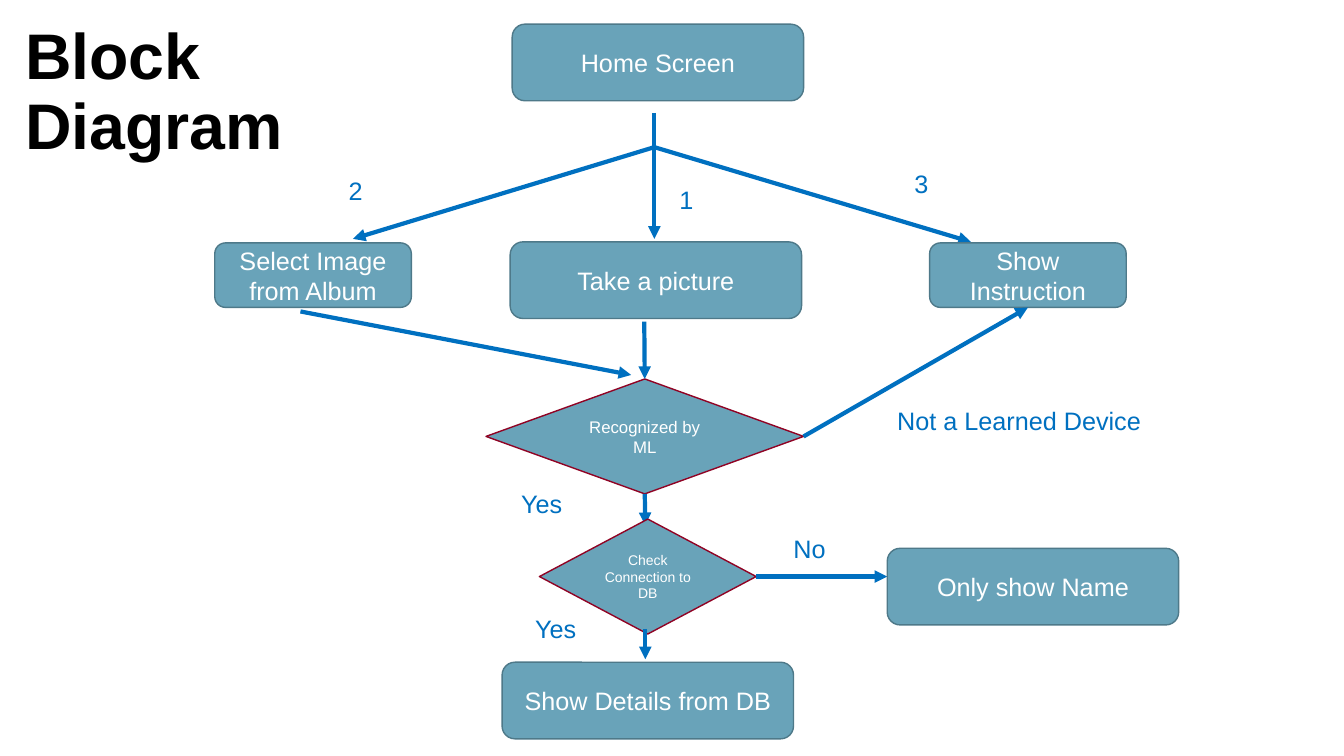
"""Build the block diagram slide of an image recognition app."""
from lxml import etree
from pptx import Presentation
from pptx.dml.color import RGBColor
from pptx.enum.shapes import MSO_CONNECTOR, MSO_SHAPE
from pptx.enum.text import MSO_ANCHOR, MSO_AUTO_SIZE, PP_ALIGN
from pptx.oxml.ns import qn
from pptx.util import Inches, Pt

ROUND, DIAMOND = MSO_SHAPE.ROUNDED_RECTANGLE, MSO_SHAPE.DIAMOND
STRAIGHT = MSO_CONNECTOR.STRAIGHT
TOP, MIDDLE, BOTTOM = MSO_ANCHOR.TOP, MSO_ANCHOR.MIDDLE, MSO_ANCHOR.BOTTOM
LEFT, CENTER = PP_ALIGN.LEFT, PP_ALIGN.CENTER
FIT = MSO_AUTO_SIZE.SHAPE_TO_FIT_TEXT

COLORS = {"fill": "69A3B9", "edge": "4E7989", "test": "900324",
          "flow": "0070C0", "title": "000000", "white": "FFFFFF"}
BIG = (2.89, 0.76)
SMALL = (1.95, 0.64)


def color(name):
    return RGBColor.from_string(COLORS[name])


def write(frame, text, size=18, tint="flow", bold=False, align=LEFT,
          anchor=TOP, wrap=True, lead=None, after=None):
    frame.word_wrap = wrap
    frame.vertical_anchor = anchor
    para = frame.paragraphs[0]
    para.alignment = align
    if lead:
        para.line_spacing = lead
    if after:
        para.space_after = Pt(after)
    run = para.add_run()
    run.text = text
    run.font.name = "Arial"
    run.font.size = Pt(size)
    run.font.bold = bold
    run.font.color.rgb = color(tint)


class Chart:
    def __init__(self, slide):
        self.shapes = slide.shapes

    def title(self, text, left, top, width, height):
        box = self.shapes.add_textbox(*map(Inches, (left, top, width, height)))
        write(box.text_frame, text, size=46, tint="title", bold=True,
              anchor=BOTTOM, lead=0.9, after=6)

    def label(self, text, left, top, width):
        box = self.shapes.add_textbox(*map(Inches, (left, top, width, 0.4)))
        write(box.text_frame, text, wrap=False)
        box.text_frame.auto_size = FIT

    def node(self, text, left, top, dims, kind=ROUND, edge="edge", size=18):
        box = self.shapes.add_shape(kind, *map(Inches, (left, top, *dims)))
        box.shadow.inherit = False
        box.fill.solid()
        box.fill.fore_color.rgb = color("fill")
        box.line.color.rgb = color(edge)
        box.line.width = Pt(1)
        write(box.text_frame, text, size=size, tint="white", align=CENTER,
              anchor=MIDDLE)
        return box

    def test(self, text, left, top, width, size):
        return self.node(text, left, top, (width, 1.14), DIAMOND, "test", size)

    def arrow(self, start, end, begin=None, finish=None):
        line = self.shapes.add_connector(STRAIGHT, *map(Inches, start + end))
        line.line.color.rgb = color("flow")
        line.line.width = Pt(3)
        if begin:
            line.begin_connect(*begin)
        if finish:
            line.end_connect(*finish)
        props = line.line._get_or_add_ln()
        etree.SubElement(props, qn("a:tailEnd"), type="triangle")
        etree.SubElement(line._element.spPr, qn("a:effectLst"))


def main():
    deck = Presentation()
    deck.slide_width, deck.slide_height = Inches(13.33), Inches(7.5)
    chart = Chart(deck.slides.add_slide(deck.slide_layouts[6]))

    chart.title("Block Diagram", 0.15, -0.12, 3.07, 1.79)
    chart.node("Home Screen", 5.08, 0.24, BIG)
    fork = (6.49, 1.46)
    chart.arrow(fork, (3.5, 2.37))
    chart.arrow((6.49, 1.12), (6.49, 2.37))
    chart.arrow(fork, (9.63, 2.4))
    for text, left, top in (("1", 6.64, 1.78), ("2", 3.36, 1.69),
                            ("3", 8.97, 1.62)):
        chart.label(text, left, top, 0.34)

    chart.node("Take a picture", 5.06, 2.4, BIG)
    guide = chart.node("Show Instruction", 9.22, 2.41, SMALL)
    chart.node("Select Image from Album", 2.13, 2.41, SMALL)

    known = chart.test("Recognized by ML", 4.82, 3.76, 3.15, 12)
    chart.arrow((6.39, 3.19), (6.39, 3.76), finish=(known, 0))
    chart.arrow((6.4, 4.9), (6.4, 5.21), begin=(known, 2))
    chart.arrow((7.94, 4.31), (10.2, 3.06), (known, 3), (guide, 2))
    chart.arrow((2.98, 3.09), (6.26, 3.72))

    check = chart.test("Check Connection to DB", 5.35, 5.15, 2.15, 10)
    chart.node("Show Details from DB", 4.98, 6.57, BIG)
    chart.arrow((6.4, 6.24), (6.4, 6.54))
    chart.arrow((7.5, 5.72), (8.8, 5.72), begin=(check, 3))
    chart.node("Only show Name", 8.8, 5.44, BIG)
    for text, left, top, width in (("Not a Learned Device", 8.8, 3.97, 2.64),
                                   ("Yes", 5.07, 4.8, 0.61),
                                   ("Yes", 5.21, 6.04, 0.61),
                                   ("No", 7.77, 5.24, 0.52)):
        chart.label(text, left, top, width)

    deck.save("out.pptx")


if __name__ == "__main__":
    main()
